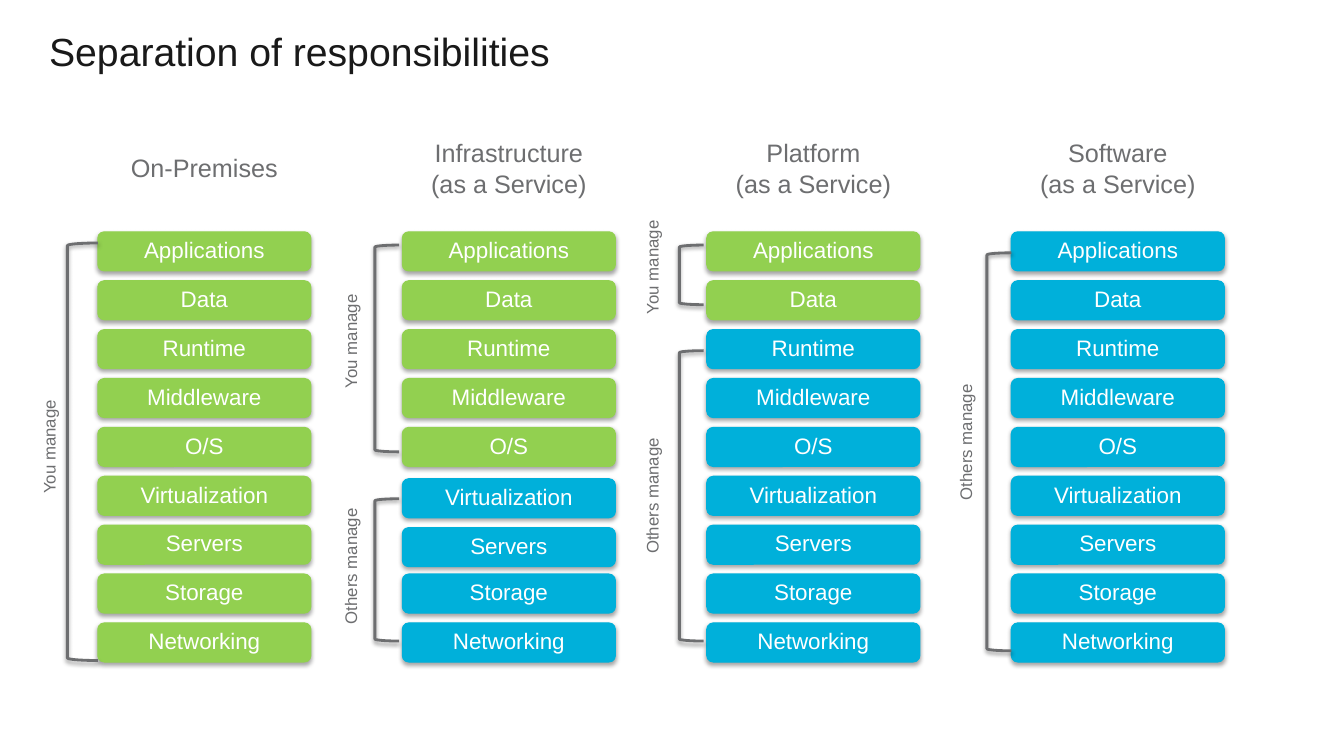
from lxml.etree import SubElement
from pptx import Presentation
from pptx.dml.color import RGBColor
from pptx.enum.shapes import MSO_SHAPE
from pptx.enum.text import MSO_ANCHOR, MSO_AUTO_SIZE, PP_ALIGN
from pptx.oxml.ns import qn
from pptx.util import Inches, Pt

COLORS = {
    "title": "191919",
    "gray": "6D6E70",
    "you": "92D050",
    "others": "00B0DA",
    "white": "FFFFFF",
    "shadow": "000000",
}
LAYERS = [
    "Applications", "Data", "Runtime", "Middleware", "O/S",
    "Virtualization", "Servers", "Storage", "Networking",
]
MODELS = [
    ("On-Premises", 9),
    ("Infrastructure\n(as a Service)", 5),
    ("Platform\n(as a Service)", 2),
    ("Software\n(as a Service)", 0),
]
ROW_SHIFTS = {(1, 5): 0.05, (1, 6): 0.05}
BRACKETS = [
    (-0.1, 0.23, 0.1, 8.54, "You manage", -0.21, 3.42),
    (0.91, 0.27, 0.08, 4.23, "You manage", 0.78, 1.26),
    (0.91, 5.46, 0.08, 2.91, "Others manage", 0.78, 5.63),
    (1.91, 0.27, 0.08, 1.22, "You manage", 1.77, -0.25),
    (1.91, 2.43, 0.08, 5.94, "Others manage", 1.77, 4.19),
    (2.92, 0.43, 0.08, 8.14, "Others manage", 2.8, 3.09),
]
LABEL_ROWS = {"You manage": 2.14, "Others manage": 2.6}


class ResponsibilitySlide:
    left, top = 0.97, 2.3
    column_pitch, row_pitch = 3.02, 0.485
    font_name = "Arial"

    def __init__(self, presentation):
        self.slide = presentation.slides.add_slide(presentation.slide_layouts[6])

    def place(self, column, row, columns, rows):
        return (
            Inches(self.left + column * self.column_pitch),
            Inches(self.top + row * self.row_pitch),
            Inches(columns * self.column_pitch),
            Inches(rows * self.row_pitch),
        )

    def color(self, name):
        return RGBColor.from_string(COLORS[name])

    def fill_text(self, shape, text, size, color, paragraph_format, frame_format):
        frame = shape.text_frame
        for name, value in frame_format.items():
            setattr(frame, name, value)
        paragraph = frame.paragraphs[0]
        paragraph.text = text
        for name, value in paragraph_format.items():
            setattr(paragraph, name, value)
        for run in paragraph.runs:
            for name, value in {"name": self.font_name, "size": Pt(size)}.items():
                setattr(run.font, name, value)
            run.font.color.rgb = self.color(color)

    def text(self, place, text, size, color, paragraph_format, frame_format):
        shape = self.slide.shapes.add_textbox(*self.place(*place))
        frame_format = {"auto_size": MSO_AUTO_SIZE.SHAPE_TO_FIT_TEXT, **frame_format}
        self.fill_text(shape, text, size, color, paragraph_format, frame_format)
        return shape

    def shape(self, kind, place, line_color, line_width, shadow_opacity):
        shape = self.slide.shapes.add_shape(kind, *self.place(*place))
        shape.line.color.rgb = self.color(line_color)
        shape.line.width = Pt(line_width)
        shape.shadow.inherit = False
        effects = shape._element.spPr.find(qn("a:effectLst"))
        shadow = SubElement(
            effects, qn("a:outerShdw"), blurRad=str(Pt(3.1)), dist=str(Pt(1.7)),
            dir="5400000", rotWithShape="0",
        )
        shade = SubElement(shadow, qn("a:srgbClr"), val=COLORS["shadow"])
        SubElement(shade, qn("a:alpha"), val=str(shadow_opacity * 1000))
        return shape

    def title(self, text):
        self.text(
            (-0.16, -4.08, 4.2, 0.87), text, 28, "title", {"line_spacing": 0.9},
            {"word_wrap": True, **self.margins(0)},
        )

    def margins(self, size):
        return {f"margin_{side}": size for side in ("left", "top", "right", "bottom")}

    def heading(self, column, text):
        rows = 1.46 if "\n" in text else 0.82
        self.text(
            (column + 0.06, -1.31 - rows / 2, 0.58, rows), text, 18, "gray",
            {"alignment": PP_ALIGN.CENTER},
            {"word_wrap": False, "vertical_anchor": MSO_ANCHOR.MIDDLE},
        )

    def layer(self, column, row, text, owner):
        shape = self.shape(
            MSO_SHAPE.ROUNDED_RECTANGLE, (column, row, 0.7, 0.8), owner, 0.75, 35
        )
        shape.fill.solid()
        shape.fill.fore_color.rgb = self.color(owner)
        self.fill_text(
            shape, text, 16, "white",
            {"alignment": PP_ALIGN.CENTER, "line_spacing": 0.9},
            {"word_wrap": True, "vertical_anchor": MSO_ANCHOR.MIDDLE, **self.margins(0)},
        )

    def bracket(self, column, row, columns, rows):
        shape = self.shape(
            MSO_SHAPE.LEFT_BRACKET, (column, row, columns, rows), "gray", 2, 38
        )
        shape.fill.background()

    def side_label(self, column, row, text):
        shape = self.text(
            (column, row, 0.13, LABEL_ROWS[text]), text, 12, "gray",
            {"alignment": PP_ALIGN.LEFT}, {"word_wrap": False},
        )
        shape.text_frame._txBody.bodyPr.set("vert", "vert270")


def main():
    presentation = Presentation()
    presentation.slide_width = Inches(13.33)
    presentation.slide_height = Inches(7.5)
    slide = ResponsibilitySlide(presentation)
    slide.title("Separation of responsibilities")
    for column, (heading, own_layers) in enumerate(MODELS):
        slide.heading(column, heading)
        for row, layer in enumerate(LAYERS):
            owner = "you" if row < own_layers else "others"
            slide.layer(column, row + ROW_SHIFTS.get((column, row), 0), layer, owner)
    for column, row, columns, rows, label, label_column, label_row in BRACKETS:
        slide.bracket(column, row, columns, rows)
        slide.side_label(label_column, label_row, label)
    presentation.save("out.pptx")


if __name__ == "__main__":
    main()
